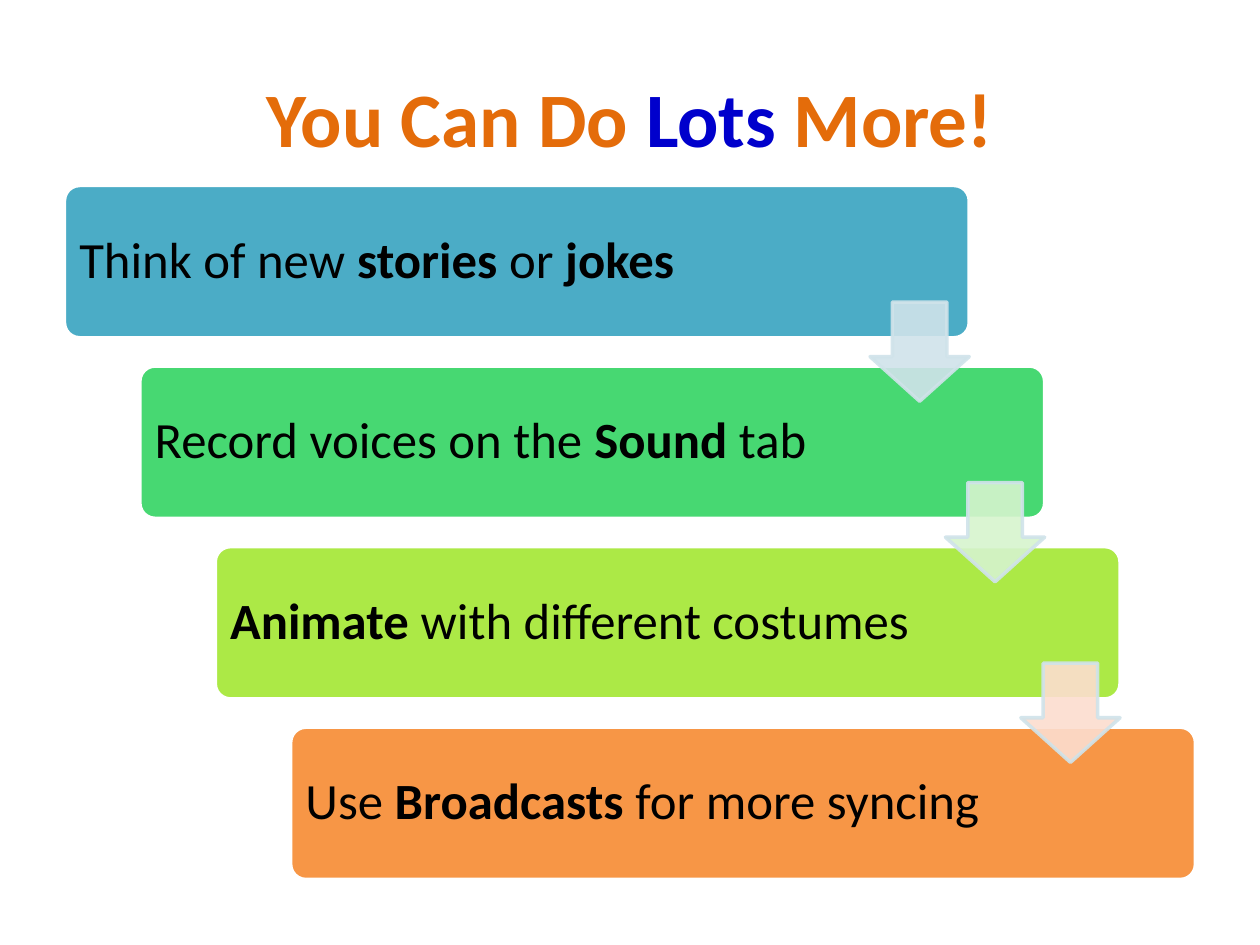
from lxml.etree import SubElement
from pptx import Presentation
from pptx.dml.color import RGBColor
from pptx.enum.shapes import MSO_SHAPE
from pptx.enum.text import MSO_ANCHOR, PP_ALIGN
from pptx.oxml.ns import qn
from pptx.util import Cm, Pt

COLORS = {
    "orange": "E46C0A", "blue": "0000CC", "black": "000000", "white": "FFFFFF",
    "step1": "4BACC6", "step2": "47D872", "step3": "ACE946", "step4": "F79646",
    "arrow1": "D0E3EA", "arrow2": "D6F4CE", "arrow3": "FCDDCF",
}
STEPS = [
    [("Think of new ", False), ("stories", True), (" or ", False), ("jokes", True)],
    [("Record voices on the ", False), ("Sound", True), (" tab", False)],
    [("Animate", True), (" with different costumes", False)],
    [("Use ", False), ("Broadcasts", True), (" for more syncing", False)],
]
STEP_X, STEP_Y = 1.52, 3.64


def rgb(name):
    """Return the named colour."""
    return RGBColor.from_string(COLORS[name])


def add_block(kind, x, y, w, h, fill, line, adjustments):
    """Add a filled, outlined shape without shadow; sizes are in cm."""
    sp = s.shapes.add_shape(kind, Cm(x), Cm(y), Cm(w), Cm(h))
    sp.shadow.inherit = False
    for i, value in enumerate(adjustments):
        sp.adjustments[i] = value
    sp.fill.solid()
    sp.fill.fore_color.rgb = rgb(fill)
    sp.line.color.rgb = rgb(line)
    sp.line.width = Pt(2)
    return sp


prs = Presentation()
prs.slide_width, prs.slide_height = Cm(25.4), Cm(19.05)
s = prs.slides.add_slide(prs.slide_layouts[6])

# Title
tf = s.shapes.add_textbox(Cm(1.27), Cm(0.76), Cm(22.86), Cm(3.18)).text_frame
tf.word_wrap = True
tf.vertical_anchor = MSO_ANCHOR.MIDDLE
p = tf.paragraphs[0]
p.alignment = PP_ALIGN.CENTER
p.font.name, p.font.size, p.font.bold = "Calibri", Pt(44), True
for text, color in [("You Can Do ", "orange"), ("Lots", "blue"), (" More!", "orange")]:
    r = p.add_run()
    r.text = text
    r.font.color.rgb = rgb(color)

# Staircase of steps
for i, runs in enumerate(STEPS):
    sp = add_block(MSO_SHAPE.ROUNDED_RECTANGLE, 1.3 + i * STEP_X, 3.74 + i * STEP_Y,
                   18.24, 3.07, f"step{i + 1}", "white", [0.1])
    tf = sp.text_frame
    tf.word_wrap = True
    tf.vertical_anchor = MSO_ANCHOR.MIDDLE
    tf.margin_left = tf.margin_right = tf.margin_top = tf.margin_bottom = Cm(0.21)
    p = tf.paragraphs[0]
    p.alignment = PP_ALIGN.LEFT
    p.line_spacing = 0.9
    p.font.name, p.font.size = "Calibri", Pt(29)
    p.font.color.rgb = rgb("black")
    for text, bold in runs:
        r = p.add_run()
        r.text = text
        r.font.bold = bold

# Translucent arrows from each step to the next
for i in range(len(STEPS) - 1):
    sp = add_block(MSO_SHAPE.DOWN_ARROW, 17.54 + i * STEP_X, 6.09 + i * STEP_Y,
                   2, 2, f"arrow{i + 1}", "arrow1", [0.55, 0.45])
    for color in sp._element.spPr.iter(qn("a:srgbClr")):
        SubElement(color, qn("a:alpha"), val="90000")

prs.save("out.pptx")
